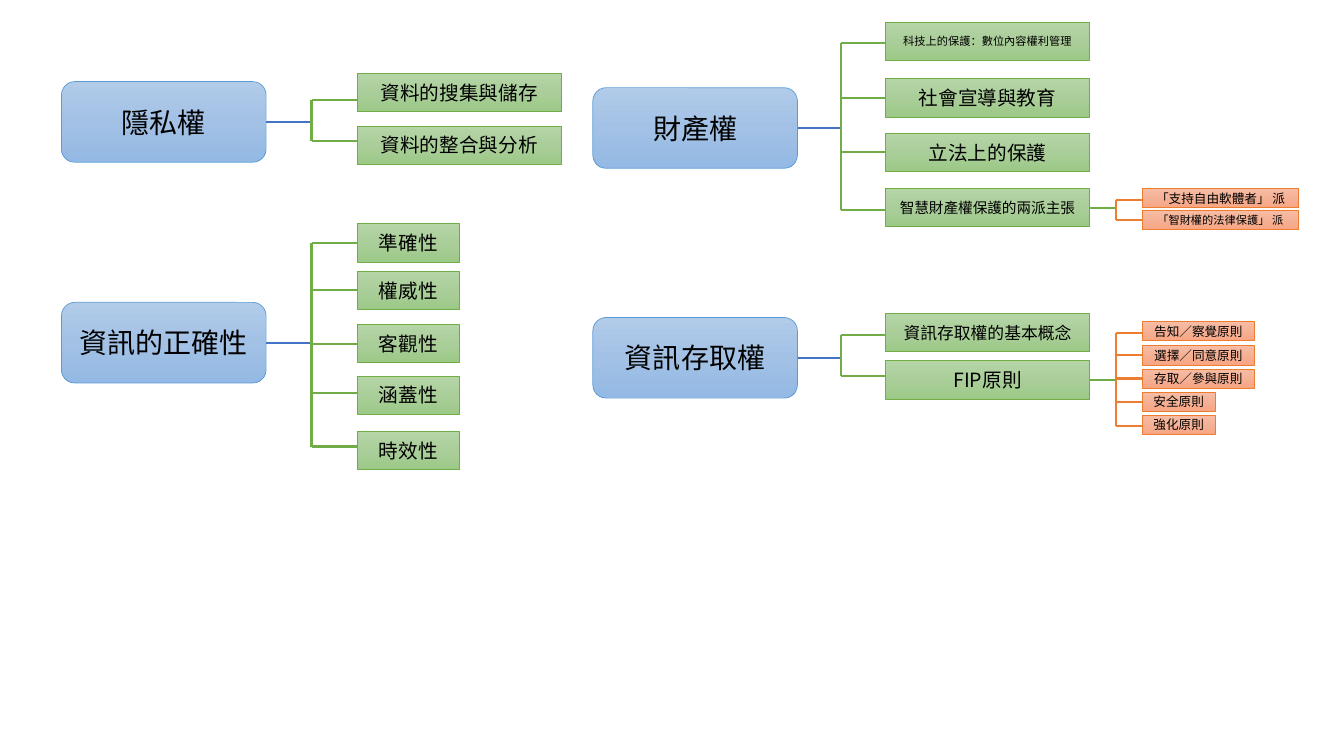
from copy import deepcopy
from dataclasses import dataclass

from lxml.etree import SubElement
from pptx import Presentation
from pptx.dml.color import RGBColor
from pptx.enum.shapes import MSO_CONNECTOR, MSO_SHAPE
from pptx.enum.text import MSO_ANCHOR, PP_ALIGN
from pptx.oxml.ns import qn
from pptx.util import Emu, Pt

PX = 9144
FONT = "Noto Sans CJK SC"
BLACK = RGBColor(0x00, 0x00, 0x00)
BLUE = RGBColor(0x44, 0x72, 0xC4)
SKY = RGBColor(0x5B, 0x9B, 0xD5)
GREEN = RGBColor(0x70, 0xAD, 0x47)
ORANGE = RGBColor(0xED, 0x7D, 0x31)
SKY_FADE = (RGBColor(0xB1, 0xCB, 0xE9), RGBColor(0xA3, 0xC1, 0xE5), RGBColor(0x93, 0xB9, 0xE4))
GREEN_FADE = (RGBColor(0xB5, 0xD5, 0xA7), RGBColor(0xAA, 0xCE, 0x9A), RGBColor(0x9C, 0xC9, 0x87))
ORANGE_FADE = (RGBColor(0xF7, 0xBD, 0xA5), RGBColor(0xF5, 0xB1, 0x96), RGBColor(0xF8, 0xA5, 0x82))


@dataclass
class Level:
    """Look shared by all boxes of one depth in the tree."""
    preset: int
    height: int
    fade: tuple
    edge: RGBColor
    stem: RGBColor


RIGHT_LEVEL = Level(MSO_SHAPE.ROUNDED_RECTANGLE, 80, SKY_FADE, SKY, BLUE)
TOPIC_LEVEL = Level(MSO_SHAPE.RECTANGLE, 38, GREEN_FADE, GREEN, GREEN)
DETAIL_LEVEL = Level(MSO_SHAPE.RECTANGLE, 19, ORANGE_FADE, ORANGE, ORANGE)


def px(length):
    """Turn px into EMU."""
    return Emu(round(length * PX))


def paint_fade(box, fade):
    """Fill a box with a three-stop vertical gradient."""
    box.fill.gradient()
    box.fill.gradient_angle = 270
    stop_list = next(box._element.iter(qn("a:gsLst")))
    stop_list.insert(1, deepcopy(stop_list[0]))
    for stop, color, position in zip(box.fill.gradient_stops, fade, (0, 0.5, 1)):
        stop.color.rgb = color
        stop.position = position


def add_node(group, level, left, top, width, text, size):
    """Add one labelled box of the given level."""
    box = group.shapes.add_shape(level.preset, px(left), px(top), px(width), px(level.height))
    box.shadow.inherit = False
    paint_fade(box, level.fade)
    box.line.color.rgb = level.edge
    box.line.width = Pt(0.5)
    frame = box.text_frame
    frame.word_wrap = True
    frame.vertical_anchor = MSO_ANCHOR.MIDDLE
    frame.margin_left = frame.margin_right = frame.margin_top = frame.margin_bottom = 0
    para = frame.paragraphs[0]
    para.alignment = PP_ALIGN.CENTER
    span = para.add_run()
    span.text = text
    span.font.size = Pt(size)
    span.font.name = FONT
    span.font.color.rgb = BLACK
    SubElement(span.font._element, qn("a:ea")).set("typeface", FONT)
    return box


def add_line(group, start, end, color):
    """Add one straight line between two points in EMU."""
    line = group.shapes.add_connector(MSO_CONNECTOR.STRAIGHT, *start, *end)
    line.line.color.rgb = color
    line.line.width = Pt(1.5)
    SubElement(line._element.spPr, qn("a:effectLst"))
    return line


def add_branch(group, parent, parent_level, level, left, nodes):
    """Add child boxes in a column and the bracket that ties them to the parent."""
    right = parent.left + parent.width
    middle = parent.top + parent.height // 2
    trunk = (right + px(left)) // 2
    stem = add_line(group, (right, middle), (trunk, middle), parent_level.stem)
    stem.begin_connect(parent, 3)
    boxes, heights = [], []
    for top, width, line_y, text, size in nodes:
        box = add_node(group, level, left, top, width, text, size)
        center = box.top + box.height // 2
        centered = abs(center - px(line_y)) <= px(1)
        height = center if centered else px(line_y)
        line = add_line(group, (trunk, height), (box.left, height), level.edge)
        if centered:
            line.end_connect(box, 1)
        boxes.append(box)
        heights.append(height)
    add_line(group, (trunk, heights[0]), (trunk, heights[-1]), level.edge)
    return boxes


def add_tree(slide, left, top, title, topic_left, topics, details=()):
    """Add one right with its topics, and details hanging on the last topic."""
    group = slide.shapes.add_group_shape()
    root = add_node(group, RIGHT_LEVEL, left, top, 203, title, 20)
    boxes = add_branch(group, root, RIGHT_LEVEL, TOPIC_LEVEL, topic_left, topics)
    if details:
        add_branch(group, boxes[-1], TOPIC_LEVEL, DETAIL_LEVEL, 1133, details)


def main():
    """Build the mind map of the four information rights."""
    deck = Presentation()
    deck.slide_width, deck.slide_height = px(1333), px(750)
    page = deck.slides.add_slide(deck.slide_layouts[6])
    add_tree(page, 61, 81, "隱私權", 354, [
        (73, 203, 99, "資料的搜集與儲存", 14),
        (125, 203, 140, "資料的整合與分析", 14),
    ])
    add_tree(page, 61, 300, "資訊的正確性", 354, [
        (222, 102, 241, "準確性", 14),
        (269, 102, 288, "權威性", 14),
        (322, 102, 340, "客觀性", 14),
        (373, 102, 390, "涵蓋性", 14),
        (428, 102, 443, "時效性", 14),
    ])
    add_tree(page, 588, 87, "財產權", 878, [
        (22, 203, 43, "科技上的保護：數位內容權利管理", 8),
        (78, 203, 97, "社會宣導與教育", 14),
        (132, 203, 151, "立法上的保護", 14),
        (187, 203, 208, "智慧財產權保護的兩派主張", 10.5),
    ], [
        (187, 155, 198, "「支持自由軟體者」 派", 9),
        (209, 155, 218, "「智財權的法律保護」 派", 8),
    ])
    add_tree(page, 588, 315, "資訊存取權", 878, [
        (311, 203, 332, "資訊存取權的基本概念", 12),
        (358, 203, 373, "FIP原則", 14),
    ], [
        (319, 111, 330, "告知／察覺原則", 9),
        (343, 111, 352, "選擇／同意原則", 9),
        (366, 111, 376, "存取／參與原則", 9),
        (389, 72, 398, "安全原則", 9),
        (412, 72, 423, "強化原則", 9),
    ])
    deck.save("out.pptx")


if __name__ == "__main__":
    main()
